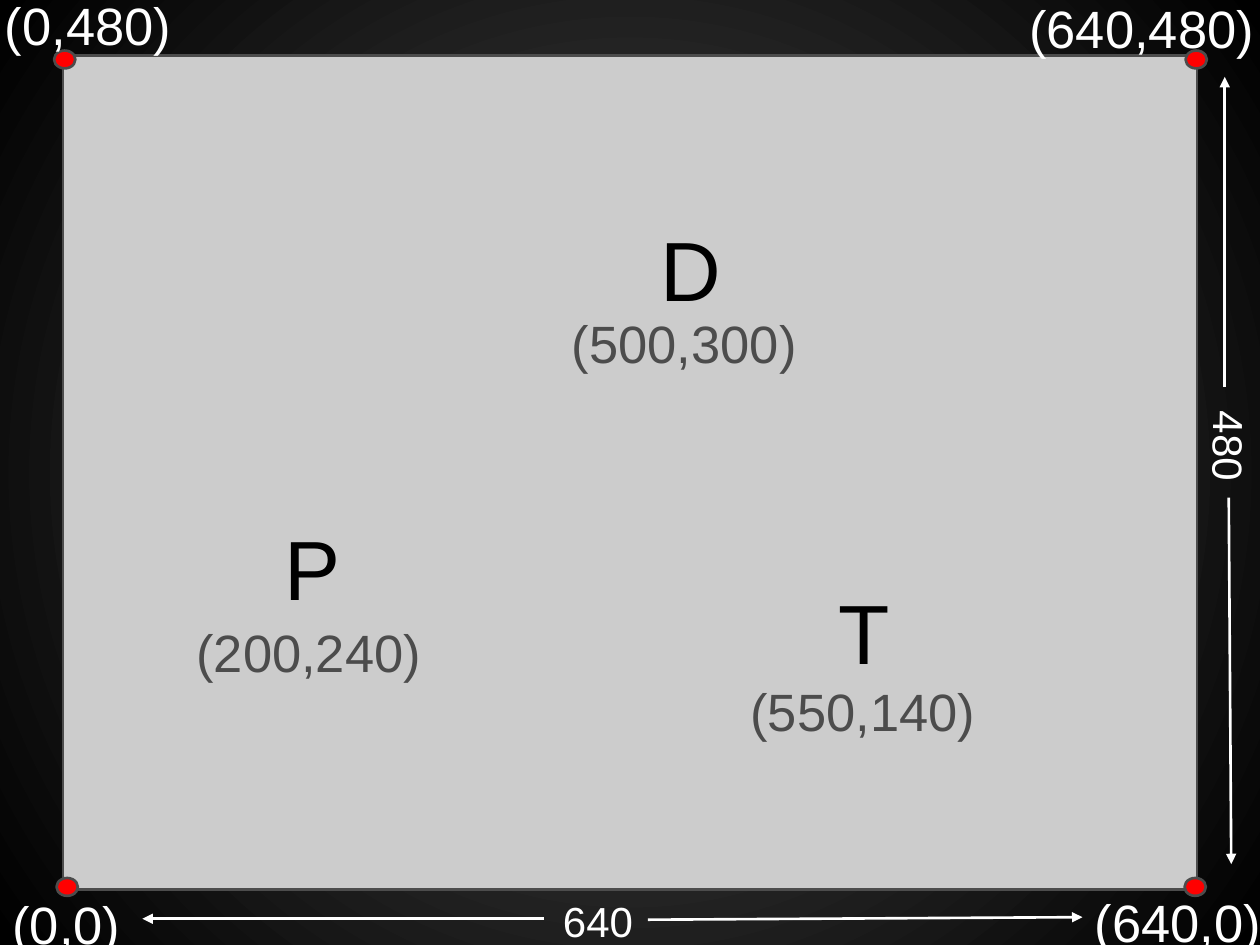
from lxml import etree
from pptx import Presentation
from pptx.dml.color import RGBColor
from pptx.enum import shapes, text
from pptx.oxml import ns
from pptx.util import Cm, Pt

WHITE = RGBColor(0xFF, 0xFF, 0xFF)
BLACK = RGBColor(0, 0, 0)
RED = RGBColor(0xFF, 0, 0)
DARK_GREY = RGBColor(0x4C, 0x4C, 0x4C)
LIGHT_GREY = RGBColor(0xCC, 0xCC, 0xCC)

# Text, left, top, width
CORNER_LABELS = [
    ("(0,480)", -0.15, -0.38, 3.89),
    ("(640,480)", 20.5, -0.33, 5.59),
    ("(0,0)", 0, 17.73, 3.89),
    ("(640,0)", 21.82, 17.7, 3.89),
]
CORNER_DOTS = [(1.09, 1.02), (23.9, 1.02), (1.14, 17.7), (23.88, 17.7)]
# Letter, left, top, coordinates, their top, their width
POINTS = [
    ("T", 16.66, 11.46, "(550,140)", 13.44, 5.77),
    ("P", 5.49, 10.16, "(200,240)", 12.24, 5.51),
    ("D", 13.06, 4.14, "(500,300)", 6.02, 6.05),
]
COORDINATE_OUTDENT = 1.78
# Start x, start y, end x, end y
ARROWS = [
    (13.06, 18.54, 21.82, 18.49),
    (10.97, 18.52, 2.87, 18.52),
    (24.77, 10.03, 24.82, 17.42),
    (24.69, 7.8, 24.69, 1.55),
]


def set_background(slide):
    """Fill the background with a gradient that darkens from the centre."""
    fill = slide.background.fill
    fill.gradient()
    for stop, position, color in zip(fill.gradient_stops, (0, 1), (DARK_GREY, BLACK)):
        stop.position = position
        stop.color.rgb = color
    grad = slide._element.find(".//" + ns.qn("a:gradFill"))
    grad.remove(grad.find(ns.qn("a:lin")))
    circle = etree.SubElement(grad, ns.qn("a:path"), path="circle")
    etree.SubElement(circle, ns.qn("a:fillToRect"),
                     l="50000", t="50000", r="50000", b="50000")


def add_text(parent, words, x, y, w, h=1.55, size=30, color=WHITE, rotation=0):
    sp = parent.add_textbox(Cm(x), Cm(y), Cm(w), Cm(h))
    sp.rotation = rotation
    tf = sp.text_frame
    tf.word_wrap = True
    tf.vertical_anchor = text.MSO_ANCHOR.TOP
    tf.margin_left = tf.margin_right = tf.margin_top = tf.margin_bottom = Cm(0.25)
    r = tf.paragraphs[0].add_run()
    r.text = words
    r.font.name = "Arial"
    r.font.size = Pt(size)
    r.font.color.rgb = color


def add_outlined_shape(slide, kind, x, y, w, h, color):
    sp = slide.shapes.add_shape(kind, Cm(x), Cm(y), Cm(w), Cm(h))
    sp.shadow.inherit = False
    sp.fill.solid()
    sp.fill.fore_color.rgb = color
    sp.line.color.rgb = DARK_GREY
    sp.line.width = Pt(1.5)


def add_point(slide, letter, x, y, coordinates, coordinates_y, w):
    """Group a letter with its coordinates below."""
    group = slide.shapes.add_group_shape().shapes
    add_text(group, letter, x, y, 1.98, 2.34, size=48, color=BLACK)
    add_text(group, coordinates, x - COORDINATE_OUTDENT, coordinates_y, w,
             color=DARK_GREY)


def add_arrow(slide, x1, y1, x2, y2):
    line = slide.shapes.add_connector(shapes.MSO_CONNECTOR.STRAIGHT,
                                      Cm(x1), Cm(y1), Cm(x2), Cm(y2))
    line.line.color.rgb = WHITE
    line.line.width = Pt(1.5)
    etree.SubElement(line.line._get_or_add_ln(), ns.qn("a:tailEnd"),
                     type="triangle", w="med", len="med")
    etree.SubElement(line._element.spPr, ns.qn("a:effectLst"))


def main():
    prs = Presentation()
    prs.slide_width, prs.slide_height = Cm(25.4), Cm(19.05)
    s = prs.slides.add_slide(prs.slide_layouts[6])
    set_background(s)

    add_outlined_shape(s, shapes.MSO_SHAPE.RECTANGLE, 1.27, 1.12, 22.86, 16.81,
                       LIGHT_GREY)
    for x, y in CORNER_DOTS:
        add_outlined_shape(s, shapes.MSO_SHAPE.FLOWCHART_CONNECTOR, x, y, 0.43, 0.36,
                           RED)
    for label in CORNER_LABELS:
        add_text(s.shapes, *label)
    for point in POINTS:
        add_point(s, *point)
    for arrow in ARROWS:
        add_arrow(s, *arrow)
    add_text(s.shapes, "640", 11.1, 17.81, 2.54, 1.04, size=24)
    add_text(s.shapes, "480", 23.75, 8.79, 2.54, 1.04, size=24, rotation=90.8)

    prs.save("out.pptx")


if __name__ == "__main__":
    main()
